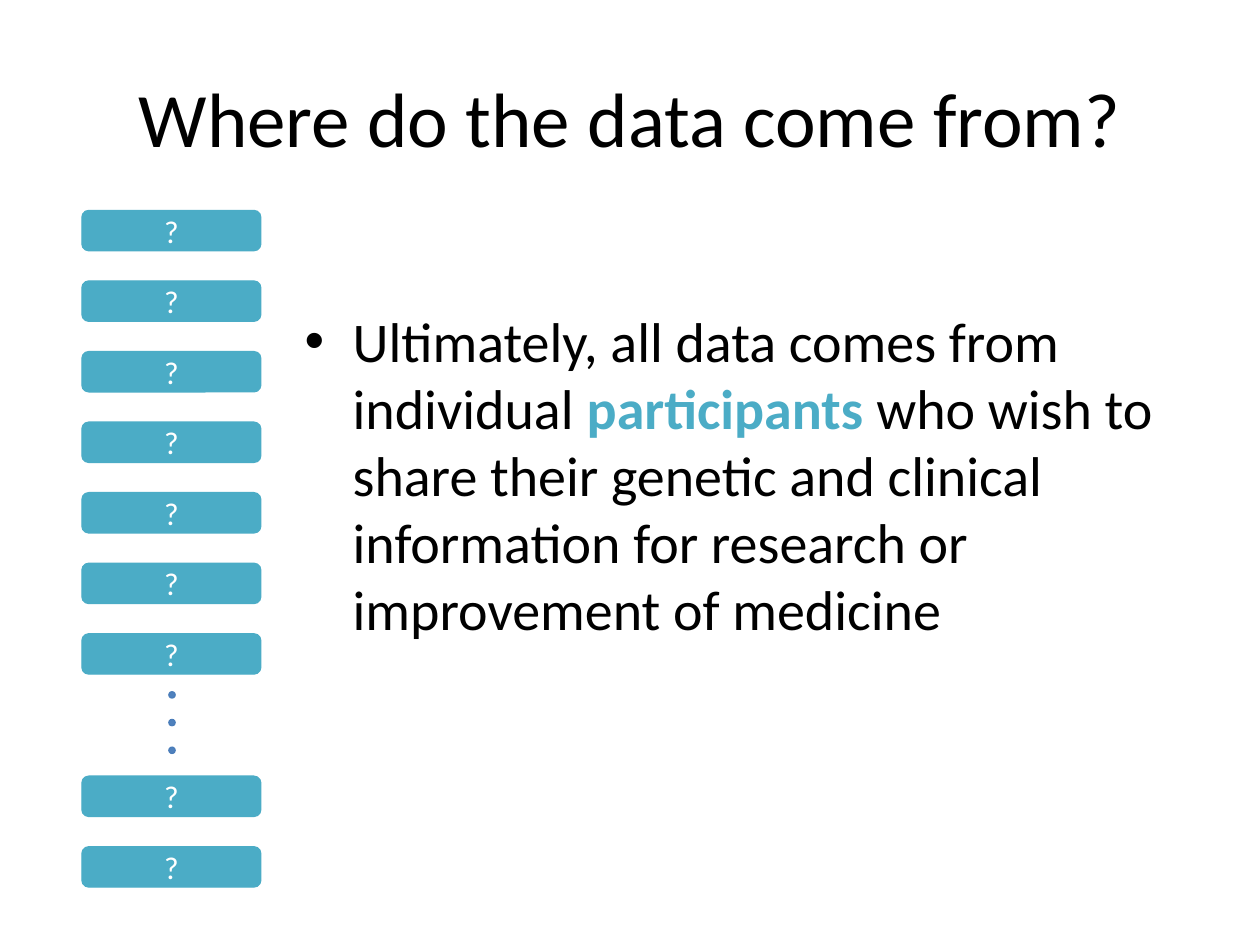
import pptx
import pptx.dml.color
import pptx.enum.shapes
import pptx.enum.text
import pptx.oxml
import pptx.oxml.ns
import pptx.util

Inches = pptx.util.Inches
Pt = pptx.util.Pt
RGBColor = pptx.dml.color.RGBColor
Shape = pptx.enum.shapes.MSO_SHAPE
Align = pptx.enum.text.PP_ALIGN
Anchor = pptx.enum.text.MSO_ANCHOR

BLACK = RGBColor(0x00, 0x00, 0x00)
WHITE = RGBColor(0xFF, 0xFF, 0xFF)
TEAL = RGBColor(0x4B, 0xAC, 0xC6)
BLUE = RGBColor(0x4F, 0x81, 0xBD)
BLUE_EDGE = RGBColor(0x4A, 0x7D, 0xBA)


class SlideBuilder:
    """Draws styled elements on the current slide."""

    font_name = "Calibri"

    def __init__(self, page):
        self.page = page

    def style(self, para, size, color):
        para.font.name = self.font_name
        para.font.size = Pt(size)
        para.font.color.rgb = color

    def text_box(self, left, top, width, height, anchor):
        box = self.page.shapes.add_textbox(
            Inches(left), Inches(top), Inches(width), Inches(height))
        box.text_frame.word_wrap = True
        box.text_frame.vertical_anchor = anchor
        return box.text_frame.paragraphs[0]

    def title(self, text):
        para = self.text_box(0.5, 0.3, 9, 1.25, Anchor.MIDDLE)
        para.text = text
        para.alignment = Align.CENTER
        self.style(para, 44, BLACK)

    def bullet(self, before, emphasis, after):
        para = self.text_box(2.32, 2.38, 7.18, 4.32, Anchor.TOP)
        properties = para._p.get_or_add_pPr()
        properties.set("marL", str(Inches(0.38)))
        properties.set("indent", str(Inches(-0.38)))
        namespace = pptx.oxml.ns.nsdecls("a")
        properties.append(pptx.oxml.parse_xml(f'<a:buFont {namespace} typeface="Arial"/>'))
        properties.append(pptx.oxml.parse_xml(f'<a:buChar {namespace} char="•"/>'))
        self.style(para, 32, BLACK)
        for text in (before, emphasis, after):
            span = para.add_run()
            span.text = text
            if text == emphasis:
                span.font.bold = True
                span.font.color.rgb = TEAL

    def shape(self, kind, left, top, width, height, fill, edge):
        shape = self.page.shapes.add_shape(
            kind, Inches(left), Inches(top), Inches(width), Inches(height))
        shape.shadow.inherit = False
        shape.fill.solid()
        shape.fill.fore_color.rgb = fill
        shape.line.color.rgb = edge
        shape.line.width = Pt(0.75)
        return shape

    def participant(self, top):
        box = self.shape(Shape.ROUNDED_RECTANGLE, 0.65, top, 1.42, 0.32, TEAL, TEAL)
        box.adjustments[0] = 0.17
        box.text_frame.vertical_anchor = Anchor.MIDDLE
        para = box.text_frame.paragraphs[0]
        para.text = "?"
        para.alignment = Align.CENTER
        self.style(para, 18, WHITE)

    def dot(self, top):
        self.shape(Shape.OVAL, 1.34, top, 0.05, 0.05, BLUE, BLUE_EDGE)


def main():
    deck = pptx.Presentation()
    deck.slide_width = Inches(10)
    deck.slide_height = Inches(7.5)
    builder = SlideBuilder(deck.slides.add_slide(deck.slide_layouts[6]))

    builder.title("Where do the data come from?")
    builder.bullet(
        "Ultimately, all data comes from individual ",
        "participants ",
        "who wish to share their genetic and clinical information "
        "for research or improvement of medicine")

    first_top, pitch = 1.66, 0.56
    for row in (0, 1, 2, 3, 4, 5, 6, 8, 9):
        builder.participant(first_top + row * pitch + (0.01 if row < 8 else 0.02))
    for row in range(3):
        builder.dot(5.49 + row * 0.22)

    deck.save("out.pptx")


if __name__ == "__main__":
    main()
